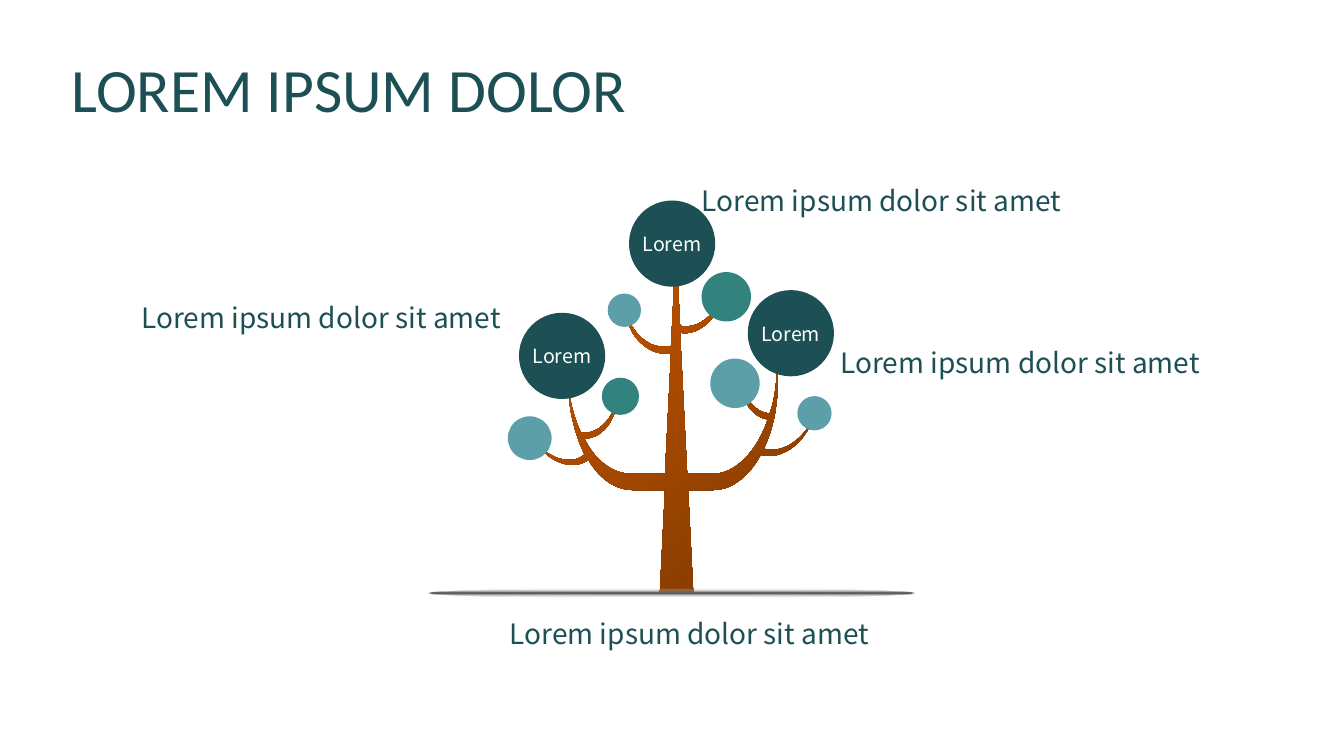
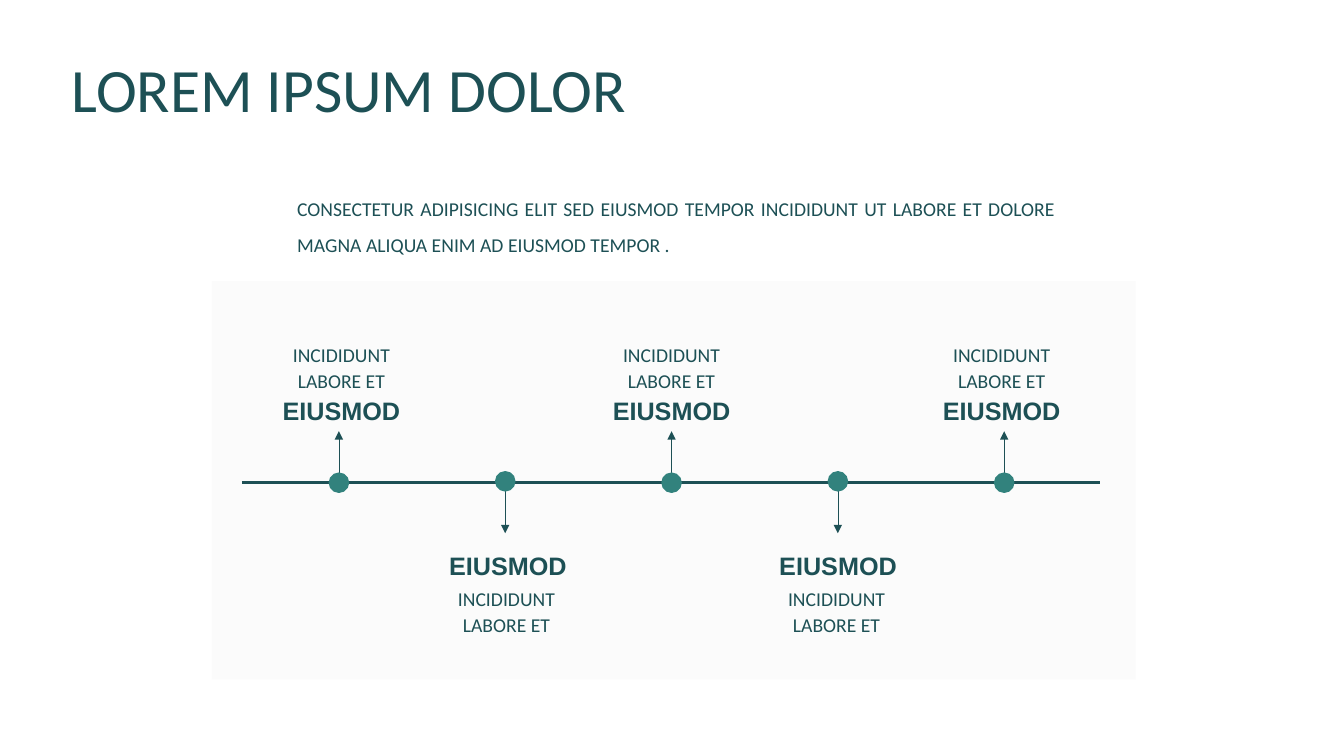
"""Build a tree diagram slide and a timeline slide."""
import math

import pptx
import pptx.dml.color
import pptx.enum.shapes
import pptx.enum.text
import pptx.oxml
import pptx.oxml.ns
import pptx.util

Pt = pptx.util.Pt
RGB = pptx.dml.color.RGBColor
ALIGN = pptx.enum.text.PP_ALIGN
ANCHOR = pptx.enum.text.MSO_ANCHOR
SHAPE = pptx.enum.shapes.MSO_SHAPE
STRAIGHT = pptx.enum.shapes.MSO_CONNECTOR.STRAIGHT
NAMESPACE = pptx.oxml.ns.nsdecls("a")

DARK = RGB(0x1D, 0x50, 0x55)
GREEN = RGB(0x32, 0x82, 0x7D)
LIGHT = RGB(0x5C, 0x9F, 0xA9)
WHITE = RGB(0xFF, 0xFF, 0xFF)
PALE = RGB(0xF2, 0xF2, 0xF2)
BARK_BASE = RGB(0x5E, 0x2A, 0x00)
BARK_MIDDLE = RGB(0x86, 0x3C, 0x00)
BARK_TIP = RGB(0xD0, 0x59, 0x00)
SHADE = RGB(0x40, 0x40, 0x40)
SHADE_EDGE = RGB(0xEE, 0xEC, 0xE1)

TITLE = "LOREM IPSUM DOLOR"
TITLE_BOX = (43.9, 13.8, 828, 104.4)

CAPTION = "Lorem ipsum dolor sit amet"
CAPTION_SIZE = (344.2, 38.9)
CAPTION_CORNERS = [(320.4, 437), (457.6, 127.4), (556.6, 243.4), (57.2, 211)]

FRUIT_LABEL = "Lorem"
FRUIT_DIAMETER = 61.6
FRUIT_CENTRES = [(480.1, 174), (564.9, 238), (401.5, 254.2)]
LEAVES = [
    (525, 273.8, 35.3, LIGHT),
    (581.8, 295.2, 24.5, LIGHT),
    (518.8, 212, 35.3, GREEN),
    (443.2, 283.1, 26.6, GREEN),
    (378.4, 313, 31.3, LIGHT),
    (446, 221.6, 23.8, LIGHT),
]
GROUND_BOX = (305.3, 420.5, 348.5, 6.5)

TREE_UNIT = 0.72
TREE_CENTRE = (674, 419.5)
TREE_ROTATION = 320.5
TREE_START = (671, 244)
TREE_OUTLINE = [
    (675, 323), (693, 327, 713, 311, 719, 286), (719, 285, 720, 284, 720, 283),
    (719, 286, 719, 289, 718, 292), (712, 317, 693, 333, 675, 330),
    (682, 470), (707, 470), (730, 470, 751, 448, 762, 416),
    (747, 414, 735, 397, 735, 377), (735, 374, 736, 372, 736, 369),
    (736, 370, 736, 370, 736, 371), (736, 392, 748, 409, 764, 410),
    (769, 396, 771, 379, 771, 361), (771, 359, 771, 357, 771, 355),
    (772, 362, 772, 369, 772, 377), (772, 403, 767, 427, 758, 445),
    (775, 450, 795, 438, 806, 417), (806, 417, 806, 416, 807, 415),
    (806, 418, 805, 421, 803, 424), (792, 445, 772, 456, 755, 451),
    (743, 473, 726, 486, 708, 486), (683, 486), (688, 587), (655, 587),
    (660, 486), (628, 486), (611, 486, 595, 475, 584, 456),
    (571, 466, 550, 461, 536, 444), (534, 442, 533, 440, 532, 438),
    (533, 440), (547, 456, 568, 461, 580, 451), (582, 454),
    (572, 435, 565, 411, 564, 383), (566, 401, 571, 417, 577, 430),
    (577, 429), (593, 431, 609, 416, 612, 395), (613, 394, 613, 394, 613, 393),
    (613, 395, 613, 398, 612, 401), (609, 421, 595, 435, 580, 435),
    (591, 457, 608, 470, 627, 470), (660, 470), (666, 350),
    (647, 354, 627, 338, 621, 313), (621, 310, 620, 307, 620, 304),
    (620, 306), (625, 325, 637, 339, 651, 343), (665, 344), (666, 343),
]

INTRO = ("CONSECTETUR ADIPISICING ELIT SED EIUSMOD TEMPOR INCIDIDUNT UT LABORE "
         "ET DOLORE MAGNA ALIQUA ENIM AD EIUSMOD TEMPOR .")
INTRO_BOX = (205.2, 114.5, 555.8, 86.4)
PANEL_BOX = (151.4, 200.9, 659.8, 284.4)
MILESTONES = [("EIUSMOD", "INCIDIDUNT LABORE ET")] * 5
AXIS = (172.8, 344.5, 785.5, 344.5)
DOT_START, DOT_STEP, DOT_DIAMETER = 242.1, 118.8, 13.7
TEXT_START, TEXT_STEP = 243.9, 117.9
HEADING_SIZE = (118, 33.1)
DETAIL_SIZE = (120.2, 55.4)
ABOVE = {"heading": 274.6, "detail": 228.2, "arrow": (337.7, 308),
         "dot": 344.8, "anchor": ANCHOR.BOTTOM, "shift": 0}
BELOW = {"heading": 385.2, "detail": 414, "arrow": (350.6, 380.9),
         "dot": 343.8, "anchor": ANCHOR.TOP, "shift": 1}

TITLE_FONT = {"name": "Calibri", "size": Pt(44), "bold": False}
CAPTION_FONT = {"name": "Noto Sans CJK SC", "size": Pt(20)}
FRUIT_FONT = {"name": "Noto Sans CJK SC", "size": Pt(14)}
BODY_FONT = {"name": "Calibri", "size": Pt(14)}
HEADING_FONT = {"name": "Arial", "size": Pt(18), "bold": True}
CENTRED = {"alignment": ALIGN.CENTER}
NO_MARGINS = dict.fromkeys(
    ("margin_left", "margin_top", "margin_right", "margin_bottom"), 0)


def apply(target, values):
    """Set each named attribute of the target."""
    for name, value in values.items():
        setattr(target, name, value)


def write(holder, text, font, paragraph_format, frame_format=None, color=DARK):
    """Put one formatted paragraph into a shape."""
    frame = holder.text_frame
    apply(frame, {"word_wrap": True, "auto_size": pptx.enum.text.MSO_AUTO_SIZE.NONE,
                  **(frame_format or {})})
    paragraph = frame.paragraphs[0]
    apply(paragraph, paragraph_format)
    run = paragraph.add_run()
    run.text = text
    apply(run.font, font)
    run.font.color.rgb = color


def add_text(slide, box, *content):
    """Add a text box with one paragraph."""
    write(slide.shapes.add_textbox(*map(Pt, box)), *content)


def paint(shape, color):
    """Give a shape a plain fill without outline or shadow."""
    shape.shadow.inherit = False
    shape.fill.solid()
    shape.fill.fore_color.rgb = color
    shape.line.fill.background()


def paint_gradient(shape, stops, direction):
    """Replace a plain fill by a gradient of (position, colour, alpha) stops."""
    paint(shape, stops[0][1])
    marks = "".join(
        f'<a:gs pos="{position * 1000}"><a:srgbClr val="{color}">'
        f'<a:alpha val="{alpha * 1000}"/></a:srgbClr></a:gs>'
        for position, color, alpha in stops)
    gradient = pptx.oxml.parse_xml(
        f'<a:gradFill {NAMESPACE} rotWithShape="1">'
        f'<a:gsLst>{marks}</a:gsLst>{direction}</a:gradFill>')
    properties = shape._element.spPr
    properties.replace(properties.find(pptx.oxml.ns.qn("a:solidFill")), gradient)


def add_circle(slide, x, y, diameter, color):
    """Add a filled circle around a centre."""
    corner = (x - diameter / 2, y - diameter / 2)
    circle = slide.shapes.add_shape(
        SHAPE.OVAL, *map(Pt, (*corner, diameter, diameter)))
    paint(circle, color)
    return circle


def add_line(slide, ends, width, arrow=False):
    """Add a straight line, with an arrowhead at its end if wanted."""
    line = slide.shapes.add_connector(STRAIGHT, *map(Pt, ends))
    line.line.color.rgb = DARK
    line.line.width = Pt(width)
    if arrow:
        line.line._get_or_add_ln().append(
            pptx.oxml.parse_xml(f'<a:tailEnd {NAMESPACE} type="triangle"/>'))
    line._element.spPr.append(pptx.oxml.parse_xml(f"<a:effectLst {NAMESPACE}/>"))


def unrotated(x, y):
    """Place an outline point where it lies before the tree is rotated."""
    angle = math.radians(-TREE_ROTATION)
    centre_x, centre_y = TREE_CENTRE
    dx, dy = x - centre_x, y - centre_y
    return (Pt(TREE_UNIT * (centre_x + dx * math.cos(angle) - dy * math.sin(angle))),
            Pt(TREE_UNIT * (centre_y + dx * math.sin(angle) + dy * math.cos(angle))))


def add_trunk(slide):
    """Add the rotated trunk and branches as one curved outline."""
    segments = [[unrotated(*pair) for pair in zip(segment[::2], segment[1::2])]
                for segment in TREE_OUTLINE]
    builder = slide.shapes.build_freeform(*unrotated(*TREE_START))
    builder.add_line_segments([segment[-1] for segment in segments], close=True)
    trunk = builder.convert_to_shape()
    sides = list(trunk._element.iter(pptx.oxml.ns.qn("a:lnTo")))
    for side, segment in zip(sides, segments):
        if len(segment) == 3:
            points = "".join(f'<a:pt x="{x - trunk.left}" y="{y - trunk.top}"/>'
                             for x, y in segment)
            side.getparent().replace(side, pptx.oxml.parse_xml(
                f"<a:cubicBezTo {NAMESPACE}>{points}</a:cubicBezTo>"))
    trunk.rotation = TREE_ROTATION
    paint_gradient(
        trunk, [(0, BARK_BASE, 100), (18, BARK_MIDDLE, 100), (100, BARK_TIP, 100)],
        '<a:lin ang="16200000" scaled="0"/>')


def add_titled_slide(deck):
    """Add a slide with the shared title."""
    slide = deck.slides.add_slide(deck.slide_layouts[5])
    title = slide.shapes.title
    apply(title, dict(zip(("left", "top", "width", "height"), map(Pt, TITLE_BOX))))
    write(title, TITLE, TITLE_FONT, {"alignment": ALIGN.LEFT, "line_spacing": 0.9},
          {"vertical_anchor": ANCHOR.MIDDLE})
    return slide


def build_tree(slide):
    """Draw the tree with its fruits, leaves and captions."""
    add_trunk(slide)
    paint_gradient(
        slide.shapes.add_shape(SHAPE.OVAL, *map(Pt, GROUND_BOX)),
        [(0, SHADE, 100), (100, SHADE_EDGE, 0)],
        '<a:path path="shape"><a:fillToRect l="50000" t="50000" r="50000" b="50000"/></a:path>')
    for centre in FRUIT_CENTRES:
        fruit = add_circle(slide, *centre, FRUIT_DIAMETER, DARK)
        write(fruit, FRUIT_LABEL, FRUIT_FONT, CENTRED,
              {"vertical_anchor": ANCHOR.MIDDLE, **NO_MARGINS}, WHITE)
    for leaf in LEAVES:
        add_circle(slide, *leaf)
    for corner in CAPTION_CORNERS:
        add_text(slide, (*corner, *CAPTION_SIZE), CAPTION, CAPTION_FONT, CENTRED)


def build_timeline(slide):
    """Draw the timeline with milestones above and below its axis."""
    panel = slide.shapes.add_shape(SHAPE.RECTANGLE, *map(Pt, PANEL_BOX))
    paint(panel, PALE)
    tint = panel._element.spPr.find(".//" + pptx.oxml.ns.qn("a:srgbClr"))
    tint.append(pptx.oxml.parse_xml(f'<a:alpha {NAMESPACE} val="30000"/>'))
    add_text(slide, INTRO_BOX, INTRO, BODY_FONT,
             {"alignment": ALIGN.JUSTIFY, "line_spacing": 1.5},
             {"vertical_anchor": ANCHOR.MIDDLE})
    add_line(slide, AXIS, 2.25)
    for index, (heading, detail) in enumerate(MILESTONES):
        side = BELOW if index % 2 else ABOVE
        dot_x = DOT_START + index * DOT_STEP
        text_x = TEXT_START + index * TEXT_STEP
        heading_x = text_x + side["shift"] - HEADING_SIZE[0] / 2
        arrow_start, arrow_end = side["arrow"]
        add_line(slide, (dot_x, arrow_start, dot_x, arrow_end), 0.5, arrow=True)
        dot = add_circle(slide, dot_x, side["dot"], DOT_DIAMETER, GREEN)
        dot.line.color.rgb = GREEN
        dot.line.width = Pt(1)
        add_text(slide, (heading_x, side["heading"], *HEADING_SIZE),
                 heading, HEADING_FONT, {**CENTRED, "line_spacing": 1.2})
        add_text(slide, (text_x - DETAIL_SIZE[0] / 2, side["detail"], *DETAIL_SIZE),
                 detail, BODY_FONT, {**CENTRED, "line_spacing": 1.1},
                 {"vertical_anchor": side["anchor"]})


def main():
    """Build and save the deck."""
    deck = pptx.Presentation()
    apply(deck, {"slide_width": Pt(960), "slide_height": Pt(540)})
    for build in (build_tree, build_timeline):
        build(add_titled_slide(deck))
    deck.save("out.pptx")


if __name__ == "__main__":
    main()
